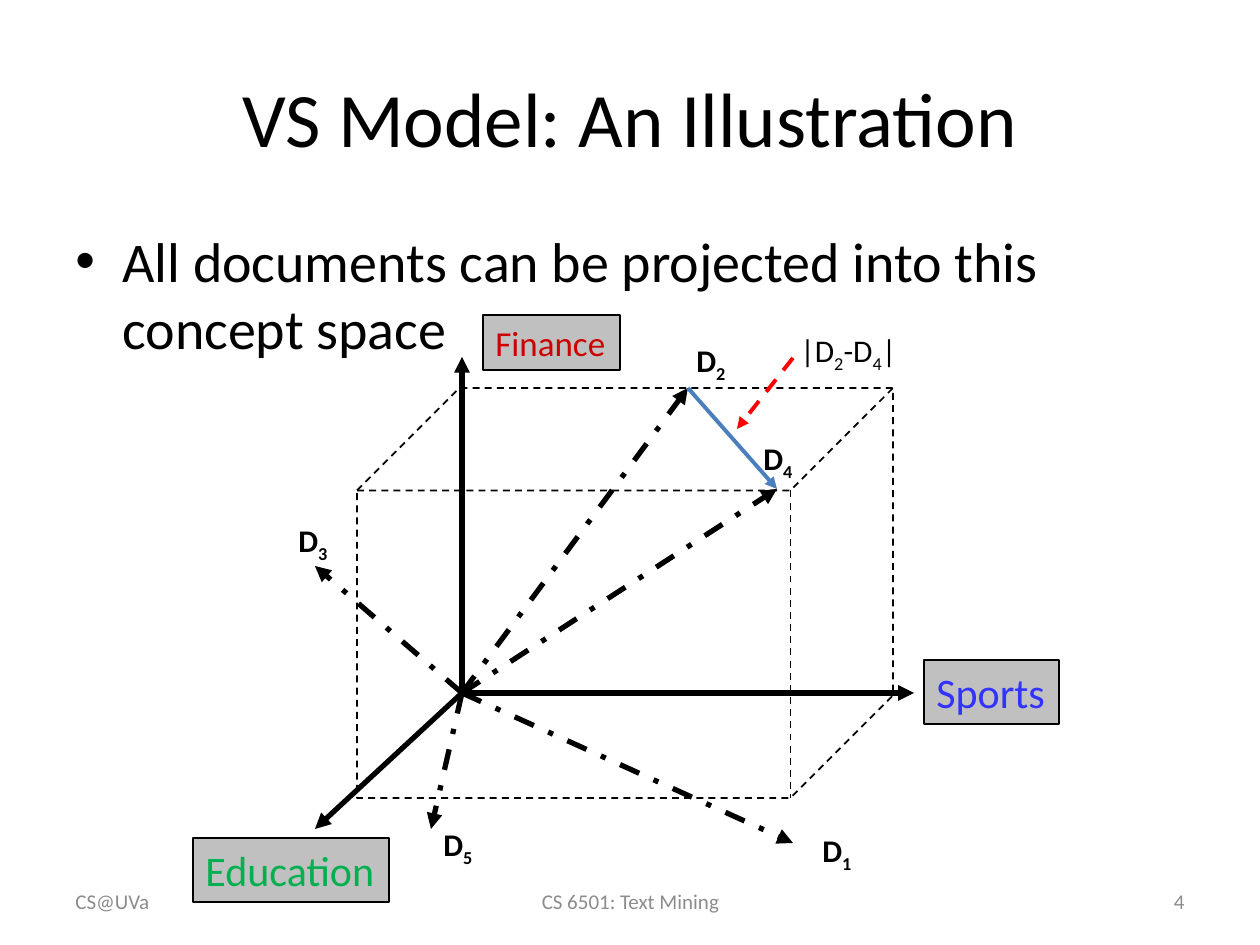
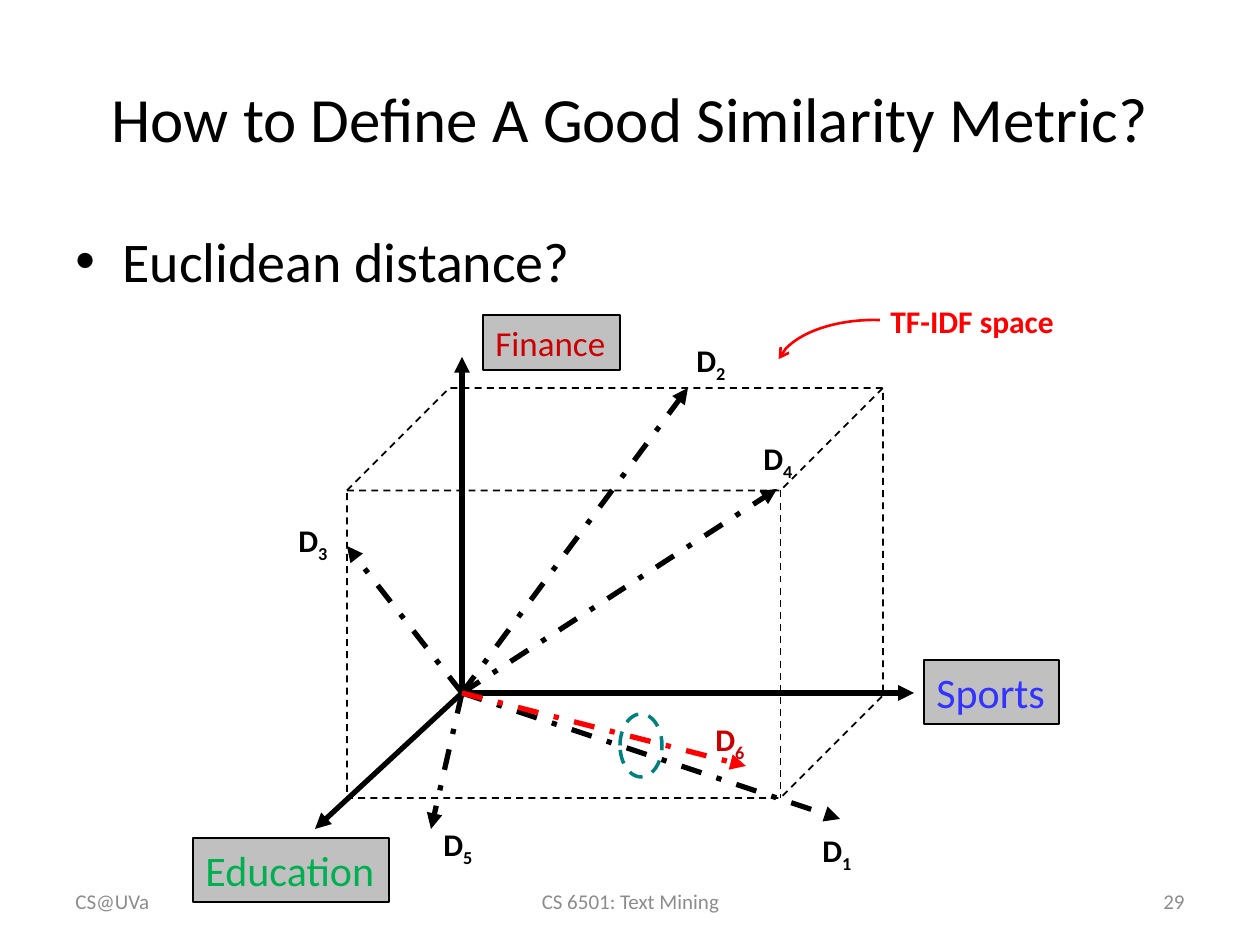
from dataclasses import dataclass

from lxml import etree
from pptx import Presentation
from pptx.dml.color import RGBColor
from pptx.enum import dml, shapes, text
from pptx.oxml.ns import qn
from pptx.util import Emu, Pt

PX = 914400 // 126


@dataclass(frozen=True)
class Theme:
    font: str = "Calibri"
    ink: str = "000000"
    muted: str = "8C8C8C"
    plate: str = "C0C0C0"
    finance: str = "CC0000"
    sports: str = "3333FF"
    education: str = "00B050"
    alert: str = "FF0000"
    gap: str = "4B7EBC"
    ring: str = "008080"
    body_size: int = 32
    axis_size: int = 24
    finance_size: int = 20
    label_size: int = 18
    footer_size: int = 12


THEME = Theme()
DASH = dml.MSO_LINE.DASH
DASH_DOT = dml.MSO_LINE.DASH_DOT
CENTER, RIGHT = text.PP_ALIGN.CENTER, text.PP_ALIGN.RIGHT

TITLE_AREA = (63, 38, 1134, 158)
BODY_AREA = (63, 220, 1134, 624)
HANGING = 47
CUBE_TOP, CUBE_SIZE = 388, (536, 410)
ORIGIN = (462, 693)
AXES = [
    ("Education", (315, 829), (193, 838, 196, 64), THEME.axis_size, THEME.education),
    ("Sports", (914, 693), (924, 660, 135, 64), THEME.axis_size, THEME.sports),
    ("Finance", (462, 357), (483, 315, 137, 55), THEME.finance_size, THEME.finance),
]
LABEL_SIZE = (58, 50)
LABEL_SPOTS = {
    "D_1": (810, 825), "D_2": (684, 335), "D_3": (286, 515),
    "D_4": (751, 433), "D_5": (431, 819), "D_6": (703, 714),
}
SHARED_TIPS = {"D_4": (777, 489), "D_5": (431, 829), "D_2": (688, 388)}
FOOTERS = [("CS@UVa", (63, 876, 294, 50), None),
           ("CS 6501: Text Mining", (431, 876, 399, 50), CENTER)]
NUMBER_AREA = (903, 876, 294, 50)

SLIDES = [
    {"title": "VS Model: An Illustration", "title_size": 44, "number": 4,
     "point": "All documents can be projected into this concept space",
     "cube_left": 357, "tips": {"D_1": (793, 843), "D_3": (315, 566)}},
    {"title": "How to Define A Good Similarity Metric?", "title_size": 36, "number": 29,
     "point": "Euclidean distance?",
     "cube_left": 347, "tips": {"D_1": (840, 819), "D_3": (347, 546)}},
]


def emu(*lengths):
    return [Emu(length * PX) for length in lengths]


def apply(target, formats):
    for name, value in formats.items():
        setattr(target, name, value)


def write(slide, words, area, size, color=THEME.ink, bold=False, align=None,
          middle=False, fit=False, wrap=True):
    box = slide.shapes.add_textbox(*emu(*area))
    frame = box.text_frame
    apply(frame, {
        "word_wrap": wrap,
        "auto_size": text.MSO_AUTO_SIZE.SHAPE_TO_FIT_TEXT if fit else text.MSO_AUTO_SIZE.NONE,
        "vertical_anchor": text.MSO_ANCHOR.MIDDLE if middle else text.MSO_ANCHOR.TOP,
    })
    paragraph = frame.paragraphs[0]
    paragraph.alignment = align
    head, *tails = words.split("_")
    pieces = [(head, False)]
    for tail in tails:
        pieces += [(tail[:1], True), (tail[1:], False)]
    for piece, lowered in pieces:
        if not piece:
            continue
        run = paragraph.add_run()
        run.text = piece
        apply(run.font, {"name": THEME.font, "size": Pt(size), "bold": bold})
        run.font.color.rgb = RGBColor.from_string(color)
        if lowered:
            run.font._element.set("baseline", "-25000")
    return box


def outline(line, color, width, dash=None):
    line.color.rgb = RGBColor.from_string(color)
    apply(line, {"width": Pt(width), "dash_style": dash})


def arrow(slide, start, end, color=THEME.ink, width=3, dash=None):
    connector = slide.shapes.add_connector(
        shapes.MSO_CONNECTOR.STRAIGHT, *emu(*start, *end))
    outline(connector.line, color, width, dash)
    etree.SubElement(connector.line._get_or_add_ln(), qn("a:tailEnd"), type="triangle")
    etree.SubElement(connector._element.spPr, qn("a:effectLst"))


def hollow(slide, kind, area, color, width, dash=None):
    shape = slide.shapes.add_shape(kind, *emu(*area))
    shape.shadow.inherit = False
    shape.fill.background()
    outline(shape.line, color, width, dash)
    return shape


def vector(slide, name, tip, color=THEME.ink, label_color=THEME.ink):
    arrow(slide, ORIGIN, tip, color, dash=DASH_DOT)
    write(slide, name, LABEL_SPOTS[name] + LABEL_SIZE, THEME.label_size, label_color,
          bold=True, fit=True, wrap=False)


def frame_slide(slide, content):
    write(slide, content["title"], TITLE_AREA, content["title_size"],
          align=CENTER, middle=True)
    point = write(slide, content["point"], BODY_AREA, THEME.body_size)
    properties = point.text_frame.paragraphs[0]._p.get_or_add_pPr()
    apply_indent = {"marL": HANGING * PX, "indent": -HANGING * PX}
    for name, value in apply_indent.items():
        properties.set(name, str(value))
    etree.SubElement(properties, qn("a:buFont"), typeface="Arial")
    etree.SubElement(properties, qn("a:buChar"), char="•")
    for words, area, align in FOOTERS + [(str(content["number"]), NUMBER_AREA, RIGHT)]:
        write(slide, words, area, THEME.footer_size, THEME.muted, align=align, middle=True)


def draw_space(slide, content):
    hollow(slide, shapes.MSO_SHAPE.CUBE, (content["cube_left"], CUBE_TOP) + CUBE_SIZE,
           THEME.ink, 1, DASH)
    for concept, tip, area, size, color in AXES:
        arrow(slide, ORIGIN, tip)
        plate = write(slide, concept, area, size, color, fit=True, wrap=False)
        plate.fill.solid()
        plate.fill.fore_color.rgb = RGBColor.from_string(THEME.plate)
        outline(plate.line, THEME.ink, 0.75)
    for name, tip in {**SHARED_TIPS, **content["tips"]}.items():
        vector(slide, name, tip)


def mark_distance(slide):
    arrow(slide, SHARED_TIPS["D_2"], SHARED_TIPS["D_4"], THEME.gap, 2.25)
    write(slide, "|D_2-D_4|", (788, 325, 126, 50), THEME.label_size, fit=True)
    arrow(slide, (793, 358), (737, 429), THEME.alert, 2.25, DASH)


def mark_similarity(slide):
    vector(slide, "D_6", (746, 766), THEME.alert, THEME.finance)
    hollow(slide, shapes.MSO_SHAPE.OVAL, (620, 714, 42, 63), THEME.ring, 2, DASH)
    write(slide, "TF-IDF space", (878, 296, 273, 50), THEME.label_size, THEME.alert,
          bold=True, fit=True)
    pointer = hollow(slide, shapes.MSO_SHAPE.ARC, (776, 320, 197, 102), THEME.alert, 1.5)
    for index, degrees in enumerate((187, 276)):
        pointer.adjustments[index] = degrees * 0.6
    etree.SubElement(pointer.line._get_or_add_ln(), qn("a:headEnd"), type="arrow")


def main():
    deck = Presentation()
    deck.slide_width, deck.slide_height = emu(1260, 945)
    for content, mark in zip(SLIDES, (mark_distance, mark_similarity)):
        slide = deck.slides.add_slide(deck.slide_layouts[6])
        frame_slide(slide, content)
        draw_space(slide, content)
        mark(slide)
    deck.save("out.pptx")


if __name__ == "__main__":
    main()
